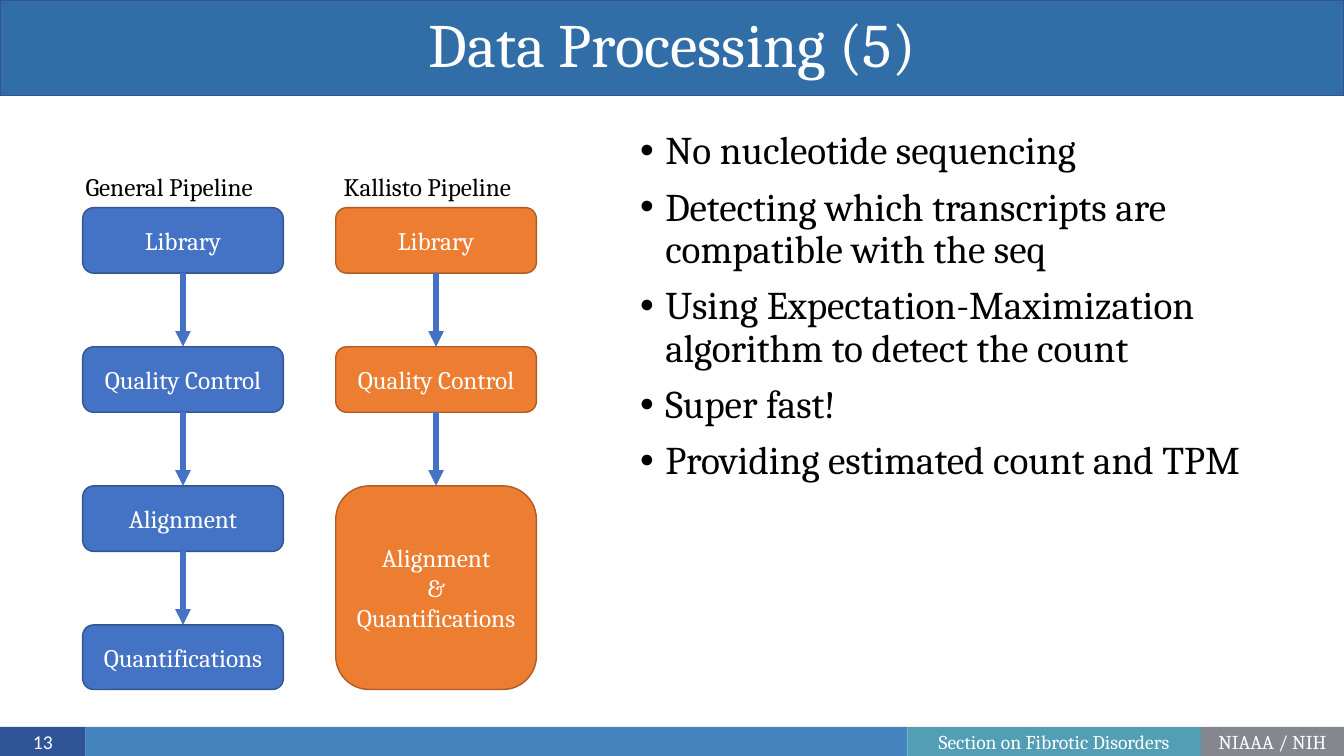
from itertools import pairwise

from lxml import etree
from pptx import Presentation
from pptx import util as u
from pptx.dml.color import RGBColor
from pptx.enum import shapes, text
from pptx.oxml.ns import qn

PX = 9144  # 100 px to the inch
COLORS = {
    "white": "FFFFFF", "black": "000000", "navy": "2F5597", "edge": "325491",
    "sky": "4584BE", "teal": "519EB5", "gray": "84878E", "banner": "316DA7",
    "blue": "4472C4", "orange": "ED7D31", "rust": "AF5C24",
}
RGB = {name: RGBColor.from_string(value) for name, value in COLORS.items()}
MSO = shapes.MSO_SHAPE
CENTER = text.PP_ALIGN.CENTER

prs = Presentation()
prs.slide_width, prs.slide_height = 1333 * PX, 750 * PX
s = prs.slides.add_slide(prs.slide_layouts[6])


def write(sp, lines, size, color, font="Cambria", bullet=False, **layout):
    """Fill a shape with paragraphs; layout holds paragraph attributes."""
    tf = sp.text_frame
    tf.word_wrap = True
    tf.text = lines
    for i, p in enumerate(tf.paragraphs):
        for name, value in layout.items():
            if name != "space_before" or i:
                setattr(p, name, value)
        if bullet:
            pPr = p._p.get_or_add_pPr()
            pPr.set("marL", str(25 * PX))
            pPr.set("indent", str(-25 * PX))
            etree.SubElement(pPr, qn("a:buFont"), typeface="Arial")
            etree.SubElement(pPr, qn("a:buChar"), char="•")
        for r in p.runs:
            r.font.name, r.font.size = font, u.Pt(size)
            r.font.color.rgb = RGB[color]


def add_block(kind, box, fill, line=None):
    sp = s.shapes.add_shape(kind, *(v * PX for v in box))
    sp.shadow.inherit = False
    sp.fill.solid()
    sp.fill.fore_color.rgb = RGB[fill]
    if line:
        sp.line.color.rgb = RGB[line]
        sp.line.width = u.Pt(1)
    else:
        sp.line.fill.background()
    sp.text_frame.vertical_anchor = text.MSO_ANCHOR.MIDDLE
    return sp


# Footer and title banner
footer = [
    (0, 85, "navy", "13", "Calibri"),
    (85, 815, "sky", "", "Cambria"),
    (900, 291, "teal", "Section on Fibrotic Disorders", "Cambria"),
    (1191, 142, "gray", "NIAAA / NIH", "Cambria"),
]
for left, width, fill, label, font in footer:
    sp = add_block(MSO.RECTANGLE, (left, 721, width, 29), fill)
    if label:
        write(sp, label, 14, "white", font, alignment=CENTER)

add_block(MSO.RECTANGLE, (0, 0, 1333, 95), "banner", "edge")
title = s.shapes.add_textbox(92 * PX, 0, 1150 * PX, 95 * PX)
title.text_frame.vertical_anchor = text.MSO_ANCHOR.MIDDLE
write(title, "Data Processing (5)", 44, "white", alignment=CENTER, line_spacing=0.9)

# Bullet list
points = [
    "No nucleotide sequencing",
    "Detecting which transcripts are compatible with the seq",
    "Using Expectation-Maximization algorithm to detect the count",
    "Super fast!",
    "Providing estimated count and TPM",
]
body = s.shapes.add_textbox(625 * PX, 125 * PX, 617 * PX, 576 * PX)
write(body, "\n".join(points), 28, "black", bullet=True,
      line_spacing=0.9, space_before=u.Pt(10))

# Pipelines: the last step always ends at the same height
STEP_TOP, STEP_PITCH, STEP_WIDTH, STEP_HEIGHT = 206, 138, 199, 65
PIPELINE_BOTTOM = 684
pipelines = [
    ("General Pipeline", 75, 82, "blue", "edge",
     ["Library", "Quality Control", "Alignment", "Quantifications"]),
    ("Kallisto Pipeline", 331, 333, "orange", "rust",
     ["Library", "Quality Control", "Alignment\n&\nQuantifications"]),
]
for heading, heading_left, left, fill, line, steps in pipelines:
    label = s.shapes.add_textbox(heading_left * PX, 165 * PX, 205 * PX, 40 * PX)
    write(label, heading, 18, "black")

    blocks = []
    for i, step in enumerate(steps):
        top = STEP_TOP + i * STEP_PITCH
        height = PIPELINE_BOTTOM - top if step == steps[-1] else STEP_HEIGHT
        sp = add_block(MSO.ROUNDED_RECTANGLE, (left, top, STEP_WIDTH, height), fill, line)
        write(sp, step, 18, "white", alignment=CENTER)
        blocks.append(sp)

    for upper, lower in pairwise(blocks):
        arrow = s.shapes.add_connector(shapes.MSO_CONNECTOR.STRAIGHT, 0, 0, 0, 0)
        arrow.begin_connect(upper, 2)
        arrow.end_connect(lower, 0)
        arrow.line.color.rgb = RGB["blue"]
        arrow.line.width = u.Pt(3.75)
        etree.SubElement(arrow.line._get_or_add_ln(), qn("a:tailEnd"), type="triangle")
        etree.SubElement(arrow._element.spPr, qn("a:effectLst"))

prs.save("out.pptx")
